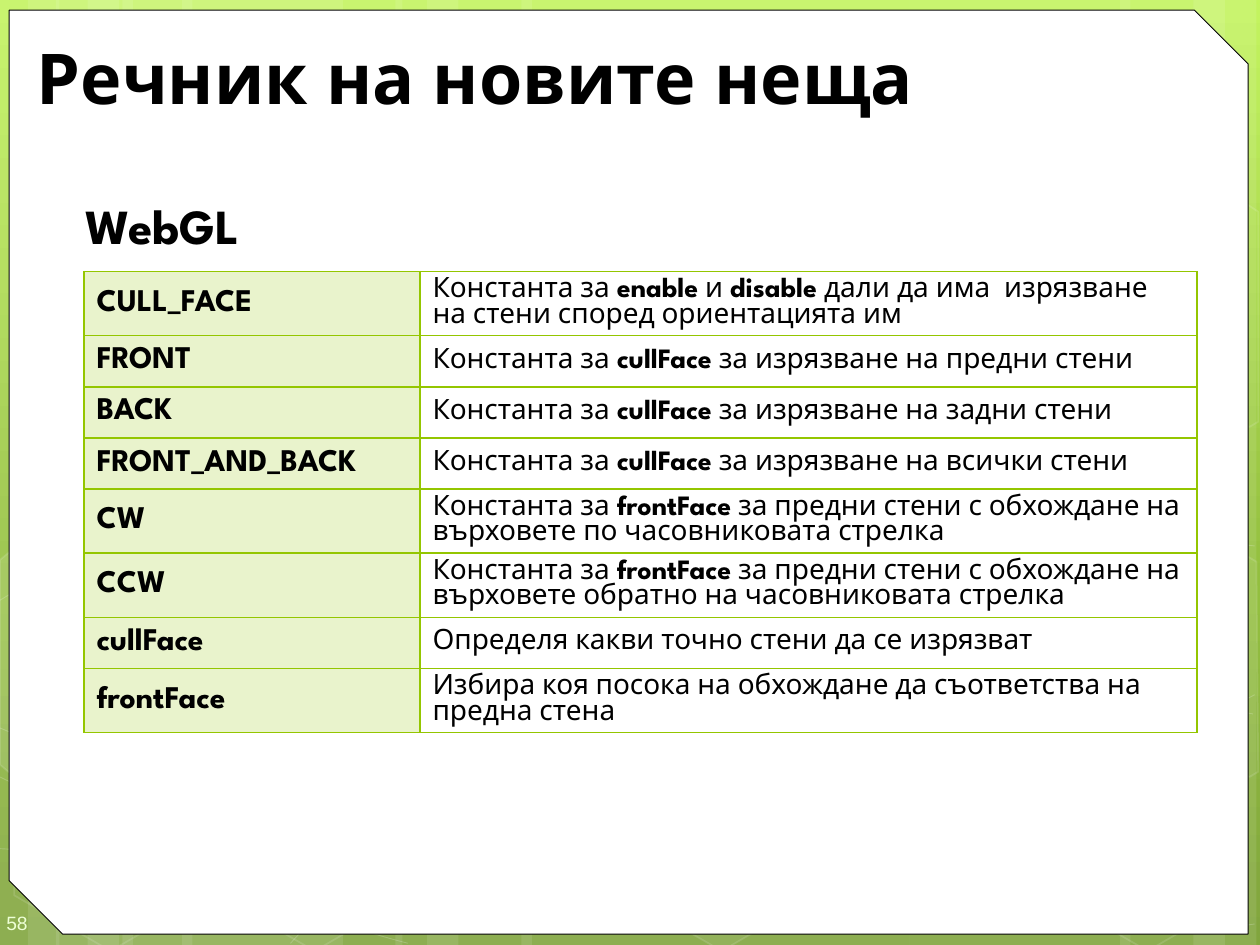
from pptx import Presentation
from pptx import util as u
from pptx.dml.color import RGBColor
from pptx.enum import shapes, text
from pptx.oxml import parse_xml
from pptx.oxml.ns import nsdecls, qn

Pt = u.Pt
WHITE = RGBColor(0xFF, 0xFF, 0xFF)
BLACK = RGBColor(0, 0, 0)
LIME = RGBColor(0x94, 0xC6, 0x00)
PALE = RGBColor(0xEE, 0xFF, 0xD6)
SKY = [(0, "C3F35F"), (62, "93BF3F"), (100, "81A53E")]
FONT = "League Spartan"

# Content: in each description, odd pieces are bold names
TITLE, HEAD, PAGE = "Речник на новите неща", "WebGL", "58"
CONST = "Константа за "
ROWS = [
    ("CULL_FACE", [CONST, "enable", " и ", "disable",
                   " дали да има  изрязване на стени според ориентацията им"]),
    ("FRONT", [CONST, "cullFace", " за изрязване на предни стени"]),
    ("BACK", [CONST, "cullFace", " за изрязване на задни стени"]),
    ("FRONT_AND_BACK", [CONST, "cullFace", " за изрязване на всички стени"]),
    ("CW", [CONST, "frontFace",
            " за предни стени с обхождане на върховете по часовниковата стрелка"]),
    ("CCW", [CONST, "frontFace",
             " за предни стени с обхождане на върховете обратно на часовниковата стрелка"]),
    ("cullFace", ["Определя какви точно стени да се изрязват"]),
    ("frontFace", ["Избира коя посока на обхождане да съответства на предна стена"]),
]
COLS, ROW_H, LEAD = (192, 444), 29.2, 14.7

# Backdrop: bands (left, width), hexagons (left, fill %), cut hexagons, curves
BANDS = [(70, 126), (0, 34), (16, 60), (104, 126), (32, 36), (50, 60),
         (520, 126), (682, 36), (640, 60), (298, 222), (226, 36), (244, 60)]
HEXES = [(0, 0), (116.6, 0), (349.2, 6), (592.6, 0)]
CUTS = [
    (10, [(0, 320), (6, 315), (61, 347), (60, 410), (6, 442), (0, 437)]),
    (4, [(659, 349), (713, 318), (718, 321), (719, 441), (714, 444), (658, 413)]),
    (0, [(659, 149), (713, 117), (719, 121), (719, 241), (714, 244), (658, 212)]),
]
CURVES = [
    [(0, 485), (36, 487), (75, 489), (129, 488), (183, 487), (249, 486), (322, 479),
     (394, 472), (496, 458), (562, 444), (628, 431), (696, 409), (717, 397)],
    [(0, 343), (18, 332), (39, 321), (79, 310), (120, 300), (178, 284), (242, 279),
     (306, 274), (384, 273), (463, 279), (542, 284), (674, 307), (717, 312)],
    [(0, 444), (83, 484), (170, 523), (233, 539)],
    [(0, 416), (19, 424), (42, 432), (84, 444), (126, 454), (189, 472), (248, 485),
     (309, 497), (384, 510), (444, 517), (503, 525), (568, 528), (606, 530),
     (644, 533), (654, 531), (672, 531), (690, 531), (704, 530), (717, 528)],
    [(166, 539), (179, 525), (192, 510), (210, 498), (227, 485), (251, 470), (271, 460),
     (291, 450), (304, 446), (330, 438), (356, 431), (405, 421), (430, 416),
     (455, 411), (459, 411), (482, 410), (503, 408), (539, 405), (564, 405),
     (588, 404), (630, 405), (630, 405), (665, 405), (703, 405), (716, 408)],
]

deck = Presentation()
deck.slide_width, deck.slide_height = Pt(720), Pt(540)
slide = deck.slides.add_slide(deck.slide_layouts[6])
tree = slide.shapes


def fade(node, pct):
    """Make the solid fill under node show at pct opacity."""
    color = node.find(qn("a:solidFill"))[0]
    color.append(parse_xml(f'<a:alpha {nsdecls("a")} val="{pct * 1000}"/>'))


def style(shape, fill=0, line=0, width=1):
    """White fill and line at the given opacities; 0 means none."""
    shape.shadow.inherit = False
    props = shape._element.spPr
    if fill:
        shape.fill.solid()
        shape.fill.fore_color.rgb = WHITE
        fade(props, fill)
    else:
        shape.fill.background()
    if line:
        shape.line.color.rgb = WHITE
        shape.line.width = Pt(width)
        fade(props.find(qn("a:ln")), line)
    else:
        shape.line.fill.background()


def add(kind, *box):
    return tree.add_shape(kind, *map(Pt, box))


def outline(points, close):
    pen = tree.build_freeform(*points[0], scale=Pt(1))
    pen.add_line_segments(points[1:], close=close)
    return pen.convert_to_shape()


def curve(knots):
    """Freeform whose line segments are joined by threes into cubic curves."""
    shape = outline(knots, False)
    route = shape._element.find(".//" + qn("a:path"))
    legs = route.findall(qn("a:lnTo"))
    for i in range(0, len(legs), 3):
        bend = parse_xml(f'<a:cubicBezTo {nsdecls("a")}/>')
        for leg in legs[i:i + 3]:
            bend.append(leg[0])
            route.remove(leg)
        route.append(bend)
    return shape


def write(para, words, size, bold=False, color=BLACK, font=FONT):
    run = para.add_run()
    run.text = words
    run.font.size, run.font.bold, run.font.name = Pt(size), bold, font
    run.font.color.rgb = color


def label(box, pads, anchor):
    frame = tree.add_textbox(*map(Pt, box)).text_frame
    frame.word_wrap = True
    frame.vertical_anchor = anchor
    (frame.margin_left, frame.margin_top,
     frame.margin_right, frame.margin_bottom) = map(Pt, pads)
    return frame.paragraphs[0]


# Background gradient
back = slide.background.fill
back.gradient()
back.gradient_angle = 270
stops = slide._element.find(".//" + qn("a:gsLst"))
for stop in list(stops):
    stops.remove(stop)
for pos, tone in SKY:
    stops.append(parse_xml(f'<a:gs {nsdecls("a")} pos="{pos * 1000}">'
                           f'<a:srgbClr val="{tone}"/></a:gs>'))

# Backdrop pattern
for left, width in BANDS:
    style(add(shapes.MSO_SHAPE.RECTANGLE, left, 0, width, 540), fill=10)
for knots in CURVES:
    style(curve(knots), line=20, width=0.5)
for left, fill in HEXES:
    hexa = add(shapes.MSO_SHAPE.HEXAGON, left, 425.5, 126, 109.4)
    hexa.adjustments[0] = 0.285
    hexa.rotation = 30
    style(hexa, fill, 12)
for fill, points in CUTS:
    style(outline(points, True), fill, 12)

# White panel
panel = add(shapes.MSO_SHAPE.SNIP_2_DIAG_RECTANGLE, 5.2, 5.8, 708, 528)
panel.adjustments[0], panel.adjustments[1] = 0, 0.058
style(panel, 100)
panel.line.color.rgb = BLACK
panel.line.width = Pt(0.5)

# Page number, title and heading
MID, TOP = text.MSO_ANCHOR.MIDDLE, text.MSO_ANCHOR.TOP
write(label((0, 511, 42, 29), (3.6, 10.8, 0, 7.2), MID), PAGE, 11, color=PALE, font="Arial")
write(label((14, 18, 682, 51), (7.2, 3.6, 7.2, 3.6), MID), TITLE, 40, True)
write(label((36, 108, 678, 426), (12.6, 3.6, 7.2, 3.6), TOP), HEAD, 28, True)

# Glossary table
table = tree.add_table(len(ROWS), 2, Pt(48), Pt(155.2), Pt(sum(COLS)),
                       Pt(ROW_H * len(ROWS))).table
table.first_row = table.horz_banding = False
for col, width in zip(table.columns, COLS):
    col.width = Pt(width)
for i, (name, parts) in enumerate(ROWS):
    table.rows[i].height = Pt(ROW_H)
    key, note = table.cell(i, 0), table.cell(i, 1)
    write(key.text_frame.paragraphs[0], name, 18, True)
    para = note.text_frame.paragraphs[0]
    para.line_spacing = Pt(LEAD)
    for k, part in enumerate(parts):
        write(para, part, 16, k % 2 == 1)
    key.fill.solid()
    key.fill.fore_color.rgb = LIME
    fade(key._tc.tcPr, 20)
    note.fill.background()
    for cell in (key, note):
        cell.vertical_anchor = MID
        for k, side in enumerate(("lnL", "lnR", "lnT", "lnB")):
            cell._tc.tcPr.insert(k, parse_xml(
                f'<a:{side} {nsdecls("a")} w="{Pt(1)}"><a:solidFill>'
                f'<a:srgbClr val="{LIME}"/></a:solidFill></a:{side}>'))

deck.save("out.pptx")
